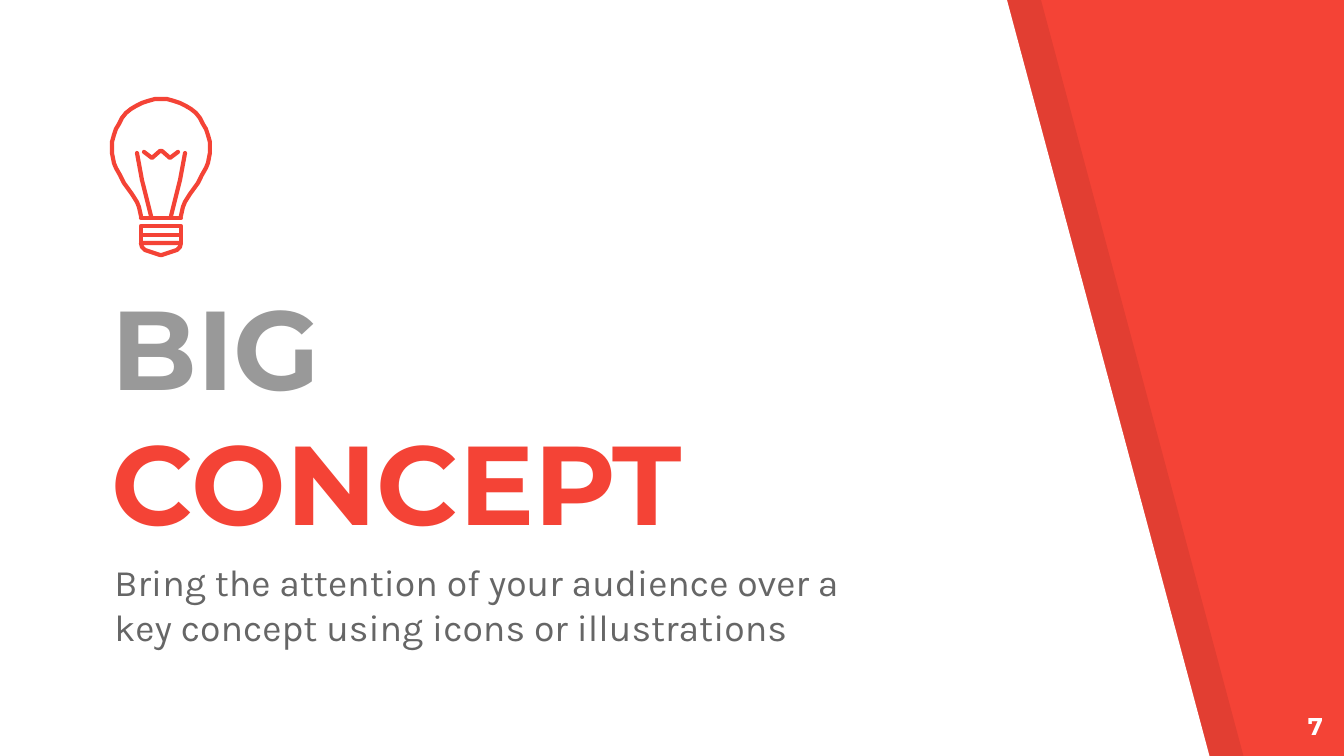
from math import cos, pi, sin

from pptx import Presentation
from pptx.dml.color import RGBColor
from pptx.enum.text import MSO_ANCHOR, MSO_AUTO_SIZE, PP_ALIGN
from pptx.oxml.ns import qn
from pptx.util import Pt
from lxml.etree import SubElement

PX = 914400 / 134.4
RED, GREY, DARK, WHITE, BLACK = "F44336", "999999", "666666", "FFFFFF", "000000"

TITLE = [("BIG ", GREY), ("CONCEPT", RED)]
SUBTITLE = "Bring the attention of your audience over a key concept using icons or illustrations"
NUMBER = "7"

PANEL = [(0, -1), (0, 758), (1210, 758), (1007, 0)]
PANELS = [(34, BLACK, 7), (0, WHITE, 100)]

BULB_X, BULB_Y, BULB_R = 161, 148, 49
NECK = [(49, 153), (47, 163), (45, 168), (41, 175), (37, 183),
        (29, 194), (24, 202), (22, 207), (20, 216)]
ARC = [(BULB_R * sin(pi * i / 24), BULB_Y - BULB_R * cos(pi * i / 24)) for i in range(13)]
RIGHT_SIDE = ARC + NECK


def mirror(points):
    return [(-x, y) for x, y in points]


def band(top, bottom):
    return [(20, bottom), (20, top), (-20, top), (-20, bottom)]


WIRE = [(24, 153), (19, 180), (10, 216)]
BULB = [
    (band(235, 243), True),
    (band(226, 235), True),
    ([(-20, 243), (-19, 247), (-16, 250), (-1, 255),
      (1, 255), (16, 250), (19, 247), (20, 243)], True),
    (mirror(WIRE), False),
    (mirror(RIGHT_SIDE)[::-1] + RIGHT_SIDE[1:], False),
    (WIRE, False),
    ([(-17, 152), (-9, 158), (-1, 151), (1, 151), (9, 158), (17, 152)], False),
    ([(-20, 218), (20, 218)], False),
]


def rgb(color):
    return RGBColor.from_string(color)


def freeform(shapes, points, dx=0, close=True):
    points = [(x + dx, y) for x, y in points]
    fb = shapes.build_freeform(*points[0], scale=PX)
    fb.add_line_segments(points[1:], close=close)
    sp = fb.convert_to_shape()
    sp.shadow.inherit = False
    return sp


def place(sp, *box):
    sp.left, sp.top, sp.width, sp.height = [round(v * PX) for v in box]
    tf = sp.text_frame
    tf.word_wrap = True
    tf.auto_size = MSO_AUTO_SIZE.NONE
    tf.margin_left = tf.margin_top = tf.margin_right = tf.margin_bottom = round(13.44 * PX)
    return tf


def style(p, name, size, color, bold=False, align=PP_ALIGN.LEFT, before=0):
    p.alignment, p.line_spacing, p.space_before = align, 1.0, Pt(before)
    p.font.name, p.font.size, p.font.bold = name, Pt(size), bold
    p.font.color.rgb = rgb(color)


prs = Presentation()
prs.slide_width, prs.slide_height = round(1344 * PX), round(756 * PX)
s = prs.slides.add_slide(prs.slide_layouts[0])
s.background.fill.solid()
s.background.fill.fore_color.rgb = rgb(RED)

for dx, color, opacity in PANELS:
    sp = freeform(s.shapes, PANEL, dx)
    sp.fill.solid()
    sp.fill.fore_color.rgb = rgb(color)
    sp.line.fill.background()
    if opacity < 100:
        clr = sp._element.spPr.find(qn("a:solidFill"))[0]
        SubElement(clr, qn("a:alpha")).set("val", str(opacity * 1000))

title, subtitle = s.placeholders
for sp in (title, subtitle):
    s.shapes._spTree.append(sp._element)

tf = place(title, 98, 390, 771, 171)
tf.vertical_anchor = MSO_ANCHOR.BOTTOM
p = tf.paragraphs[0]
style(p, "Montserrat", 60, GREY, bold=True)
for text, color in TITLE:
    r = p.add_run()
    r.text = text
    r.font.color.rgb = rgb(color)

tf = place(subtitle, 101, 546, 771, 116)
tf.vertical_anchor = MSO_ANCHOR.TOP
tf.text = SUBTITLE
style(tf.paragraphs[0], "Karla", 20, DARK, before=6)

bulb = s.shapes.add_group_shape()
for points, close in BULB:
    sp = freeform(bulb.shapes, points, BULB_X, close)
    sp.fill.background()
    sp.line.color.rgb = rgb(RED)
    sp.line.width = Pt(2.25)
    ln = sp._element.spPr.find(qn("a:ln"))
    ln.set("cap", "rnd")
    SubElement(ln, qn("a:round"))

tf = place(s.shapes.add_textbox(0, 0, 0, 0), 1255, 698, 81, 58)
tf.text = NUMBER
style(tf.paragraphs[0], "Montserrat", 13, WHITE, bold=True, align=PP_ALIGN.RIGHT)

prs.save("out.pptx")
